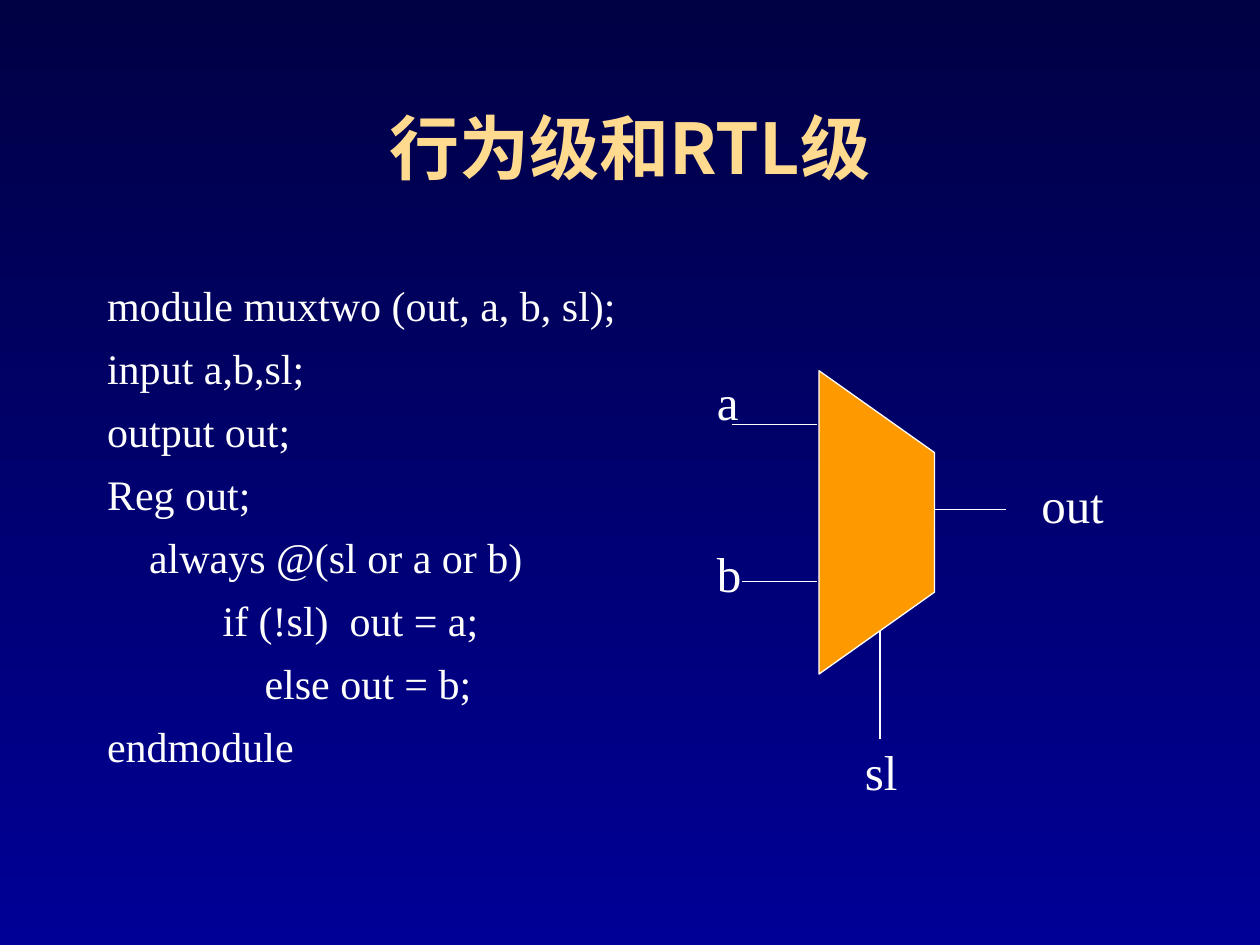
from dataclasses import dataclass

import pptx
import pptx.dml.color
import pptx.enum.shapes
import pptx.enum.text
import pptx.oxml.ns
import pptx.util
from lxml import etree

COLORS = {"top": "000045", "bottom": "000096", "title": "FFDA8F",
          "white": "FFFFFF", "mux": "FF9900"}
SANS, SERIF = "Noto Sans CJK SC", "Times New Roman"
WIDTH, HEIGHT = pptx.util.Inches(10), pptx.util.Inches(7.5)
COLS, ROWS = 120, 90
HANGING = pptx.util.Inches(0.38)
SPACE = pptx.util.Pt(6)


@dataclass
class CodeLine:
    text: str
    spaces: int = 0


@dataclass
class Wire:
    x1: float
    y1: float
    x2: float
    y2: float


@dataclass
class Label:
    text: str
    col: float
    row: float
    cols: float


CODE = [
    CodeLine("module muxtwo (out, a, b, sl);"),
    CodeLine("input a,b,sl;"),
    CodeLine("output out;"),
    CodeLine("Reg out;"),
    CodeLine("always @(sl or a or b)", 4),
    CodeLine("if (!sl)  out = a;", 11),
    CodeLine("else out = b;", 15),
    CodeLine("endmodule"),
]
WIRES = [
    Wire(69.7, 40.4, 77.8, 40.4),
    Wire(70.7, 55.4, 77.8, 55.4),
    Wire(83.8, 58.4, 83.8, 70.4),
    Wire(88.7, 48.5, 95.8, 48.5),
]
LABELS = [
    Label("a", 67.1, 34.8, 6),
    Label("b", 67.1, 51.2, 7),
    Label("sl", 81.2, 70, 7),
    Label("out", 98, 44.6, 13),
]
MUX = [(78, 35.3), (78, 64.2), (89, 56.4), (89, 43.1)]


def rgb(name: str) -> pptx.dml.color.RGBColor:
    return pptx.dml.color.RGBColor.from_string(COLORS[name])


def x(col: float) -> int:
    return round(WIDTH * col / COLS)


def y(row: float) -> int:
    return round(HEIGHT * row / ROWS)


def place(sp, col: float, row: float, cols: float, rows: float) -> None:
    sp.left, sp.top, sp.width, sp.height = x(col), y(row), x(cols), y(rows)


def add_run(p, text: str, size: float, font: str, color: str, bold: bool = False) -> None:
    r = p.add_run()
    r.text = text
    r.font.size = pptx.util.Pt(size)
    r.font.name = font
    r.font.bold = bold
    r.font.color.rgb = rgb(color)
    ea = etree.SubElement(r.font._element, pptx.oxml.ns.qn("a:ea"))
    ea.set("typeface", font)


def outline(sp) -> None:
    sp.line.color.rgb = rgb("white")
    sp.line.width = pptx.util.Pt(0.75)


def set_background(s) -> None:
    fill = s.background.fill
    fill.gradient()
    fill.gradient_angle = 270
    for stop, name in zip(fill.gradient_stops, ("top", "bottom")):
        stop.color.rgb = rgb(name)


def fill_title(sp) -> None:
    place(sp, 9, 8, 102, 12)
    tf = sp.text_frame
    tf.auto_size = pptx.enum.text.MSO_AUTO_SIZE.NONE
    tf.vertical_anchor = pptx.enum.text.MSO_ANCHOR.MIDDLE
    p = tf.paragraphs[0]
    p.alignment = pptx.enum.text.PP_ALIGN.CENTER
    add_run(p, "行为级和RTL级", 40, SANS, "title", True)


def fill_code(sp, lines: list[CodeLine]) -> None:
    place(sp, 9, 26, 102, 54)
    tf = sp.text_frame
    tf.auto_size = pptx.enum.text.MSO_AUTO_SIZE.NONE
    for i, line in enumerate(lines):
        p = tf.add_paragraph() if i else tf.paragraphs[0]
        p.space_before = pptx.util.Pt(7.2)
        pPr = p._p.get_or_add_pPr()
        pPr.set("marL", str(HANGING + line.spaces * SPACE))
        pPr.set("indent", str(-HANGING))
        etree.SubElement(pPr, pptx.oxml.ns.qn("a:buNone"))
        add_run(p, line.text, 24, SERIF, "white")


def draw_wire(s, wire: Wire) -> None:
    sp = s.shapes.add_connector(pptx.enum.shapes.MSO_CONNECTOR.STRAIGHT,
                                x(wire.x1), y(wire.y1), x(wire.x2), y(wire.y2))
    outline(sp)
    etree.SubElement(sp._element.spPr, pptx.oxml.ns.qn("a:effectLst"))


def draw_label(s, label: Label) -> None:
    sp = s.shapes.add_textbox(x(label.col), y(label.row), x(label.cols), y(8))
    tf = sp.text_frame
    tf.word_wrap = False
    add_run(tf.paragraphs[0], label.text, 28, SERIF, "white")


def draw_mux(s, corners: list[tuple[float, float]]) -> None:
    points = [(x(col), y(row)) for col, row in corners]
    builder = s.shapes.build_freeform(*points[0])
    builder.add_line_segments(points[1:], close=True)
    sp = builder.convert_to_shape()
    sp.shadow.inherit = False
    sp.fill.solid()
    sp.fill.fore_color.rgb = rgb("mux")
    outline(sp)


def main() -> None:
    prs = pptx.Presentation()
    prs.slide_width, prs.slide_height = WIDTH, HEIGHT
    s = prs.slides.add_slide(prs.slide_layouts[1])
    set_background(s)
    fill_title(s.shapes.title)
    fill_code(s.placeholders[1], CODE)
    for wire in WIRES:
        draw_wire(s, wire)
    for label in LABELS:
        draw_label(s, label)
    draw_mux(s, MUX)
    prs.save("out.pptx")


if __name__ == "__main__":
    main()
